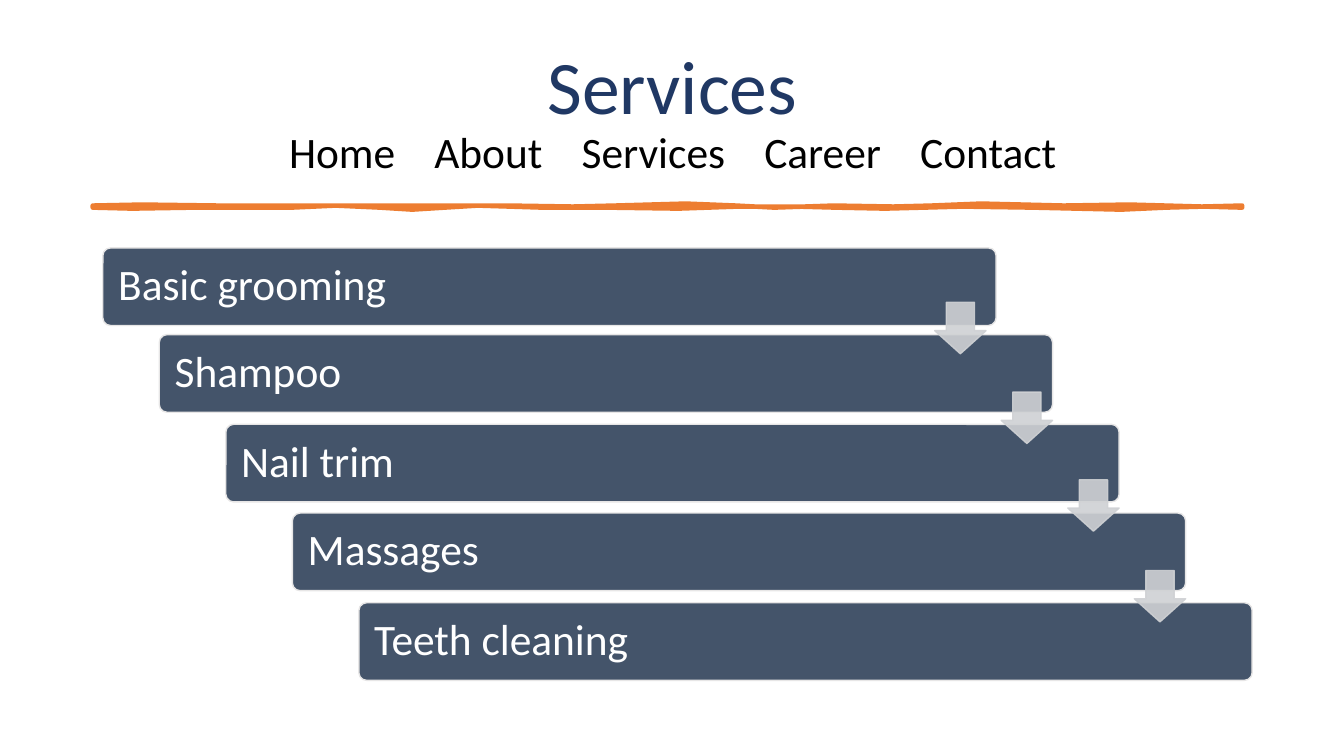
"""Build the Services slide: a title with a menu, a wavy rule and a staircase of five services."""
from lxml import etree
from pptx import Presentation
from pptx import util as u
from pptx.dml import color as c
from pptx.enum import shapes, text
from pptx.oxml import ns

COLORS = {
    "navy": "203864",
    "black": "000000",
    "orange": "ED7D31",
    "slate": "44546A",
    "edge": "E7E6E6",
    "arrow": "CFD1D4",
    "white": "FFFFFF",
}


def add_span(para, words, size=31, color="white", font="Calibri"):
    span = para.add_run()
    span.text = words
    span.font.size = u.Pt(size)
    span.font.name = font
    span.font.color.rgb = c.RGBColor.from_string(COLORS[color])


def paint(shape, fill, line, width=1, opacity=100):
    shape.shadow.inherit = False
    shape.fill.solid()
    shape.fill.fore_color.rgb = c.RGBColor.from_string(COLORS[fill])
    shape.line.color.rgb = c.RGBColor.from_string(COLORS[line])
    shape.line.width = u.Pt(width)
    if opacity < 100:
        for tint in shape.element.spPr.iter(ns.qn("a:srgbClr")):
            etree.SubElement(tint, ns.qn("a:alpha"), val=str(opacity * 1000))


deck = Presentation()
deck.slide_width, deck.slide_height = u.Inches(13.33), u.Inches(7.5)
page = deck.slides.add_slide(deck.slide_layouts[5])

title = page.shapes.title
title.left, title.top = u.Inches(0.92), u.Inches(0.4)
title.width, title.height = u.Inches(11.5), u.Inches(1.45)
frame = title.text_frame
frame.word_wrap = True
frame.auto_size = text.MSO_AUTO_SIZE.NONE
frame.vertical_anchor = text.MSO_ANCHOR.MIDDLE
para = frame.paragraphs[0]
para.alignment = text.PP_ALIGN.CENTER
para.line_spacing = 0.9
add_span(para, "Services", size=54, color="navy")
para.add_line_break()
add_span(para, "Home    About    Services    Career    Contact", color="black")

rule_left, rule_right = 0.92, 12.32
top_edge = [
    (1.41, 2.03), (2.17, 2.04), (3.58, 2.04), (4.22, 2.04), (5.04, 2.04),
    (5.68, 2.05), (6.1, 2.04), (6.8, 2.02), (7.3, 2.04), (7.68, 2.06),
    (8.27, 2.04), (8.86, 2.05), (9.24, 2.04), (9.73, 2.02), (10.55, 2.04),
    (11.2, 2.03), (11.92, 2.05), (rule_right, 2.04),
]
bottom_edge = [
    (rule_right, 2.06), (11.94, 2.05), (11.56, 2.06), (11.12, 2.08),
    (10.25, 2.06), (9.55, 2.05), (8.78, 2.07), (8.29, 2.06), (7.91, 2.05),
    (7.32, 2.05), (6.73, 2.07), (6.03, 2.06), (5.38, 2.06), (4.74, 2.04),
    (4.41, 2.06), (4.09, 2.08), (3.77, 2.06), (3.33, 2.04), (2.89, 2.06),
    (2.51, 2.06), (1.92, 2.06), (1.31, 2.07), (rule_left, 2.06),
]
builder = page.shapes.build_freeform(u.Inches(rule_left), u.Inches(2.04))
builder.add_line_segments(
    [(u.Inches(x), u.Inches(y)) for x, y in top_edge + bottom_edge], close=True
)
rule = builder.convert_to_shape()
paint(rule, "orange", "orange", width=3.25)
etree.SubElement(rule.element.spPr.find(ns.qn("a:ln")), ns.qn("a:round"))

services = [
    ("Basic grooming", 1.02),
    ("Shampoo", 1.58),
    ("Nail trim", 2.24),
    ("Massages", 2.9),
    ("Teeth cleaning", 3.56),
]
bar_tops = [2.46, 3.32, 4.21, 5.09, 5.98]
for (service, left), top in zip(services, bar_tops):
    bar = page.shapes.add_shape(
        shapes.MSO_SHAPE.ROUNDED_RECTANGLE,
        u.Inches(left), u.Inches(top), u.Inches(8.86), u.Inches(0.77),
    )
    bar.adjustments[0] = 0.1
    paint(bar, "slate", "edge")
    frame = bar.text_frame
    frame.word_wrap = True
    frame.vertical_anchor = text.MSO_ANCHOR.MIDDLE
    frame.margin_left = u.Inches(0.13)
    frame.margin_top = frame.margin_bottom = 0
    para = frame.paragraphs[0]
    para.alignment = text.PP_ALIGN.LEFT
    para.line_spacing = 0.9
    add_span(para, service)

for row, top in enumerate([3, 3.89, 4.76, 5.66]):
    arrow = page.shapes.add_shape(
        shapes.MSO_SHAPE.DOWN_ARROW,
        u.Inches(9.27 + 0.66 * row), u.Inches(top), u.Inches(0.51), u.Inches(0.51),
    )
    arrow.adjustments[0] = 0.55
    arrow.adjustments[1] = 0.45
    paint(arrow, "arrow", "arrow", opacity=90)

deck.save("out.pptx")
